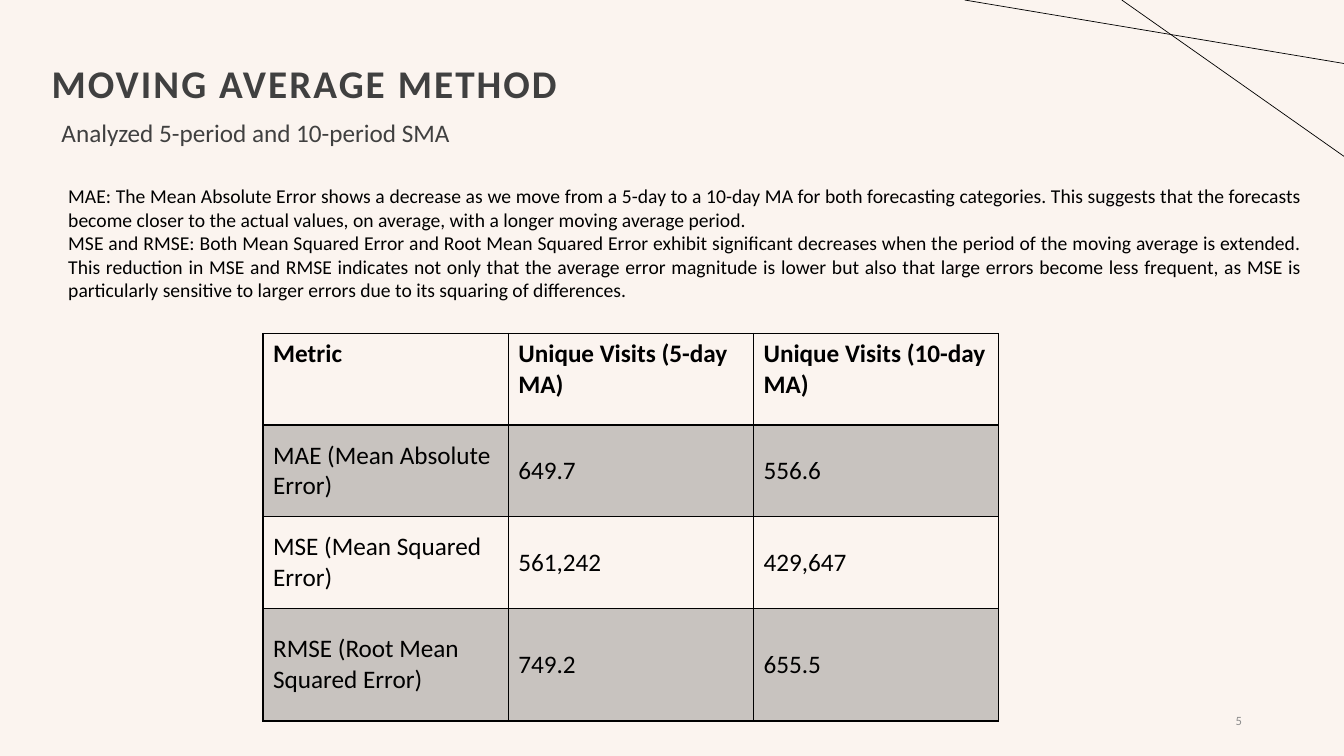
"""Build the moving average method slide."""
from dataclasses import dataclass

from lxml import etree
from pptx import Presentation
from pptx import util as u
from pptx.dml.color import RGBColor
from pptx.enum import shapes, text
from pptx.oxml.ns import qn

INK = {"page": "FBF4EF", "dark": "404040", "grey": "8C8C8C", "black": "000000"}
FONT = "Calibri"
LEFT, RIGHT, FULL = text.PP_ALIGN.LEFT, text.PP_ALIGN.RIGHT, text.PP_ALIGN.JUSTIFY
TOP, MIDDLE = text.MSO_ANCHOR.TOP, text.MSO_ANCHOR.MIDDLE


@dataclass
class Label:
    box: tuple[float, float, float, float]
    lines: list[str]
    size: float
    ink: str
    bold: bool = False
    align: int = LEFT
    anchor: int = TOP
    space: float = 1.0
    inset: float = 0.25
    track: int = 0


@dataclass
class Line:
    start: tuple[float, float]
    end: tuple[float, float]


LABELS = [
    Label((1.3, 0.33, 29.21, 3.68), ["MOVING AVERAGE METHOD"], 28, "dark",
          bold=True, anchor=MIDDLE, space=0.9, inset=0, track=150),
    Label((1.3, 2.92, 19.46, 1.37), ["Analyzed 5-period and 10-period SMA"],
          18, "dark", space=0.9),
    Label((23.93, 17.65, 7.62, 1.02), ["5"], 9, "grey", align=RIGHT, anchor=MIDDLE),
    Label((1.47, 4.51, 31.6, 3.25), [
        "MAE: The Mean Absolute Error shows a decrease as we move from a 5-day to a "
        "10-day MA for both forecasting categories. This suggests that the forecasts "
        "become closer to the actual values, on average, with a longer moving average "
        "period.",
        "MSE and RMSE: Both Mean Squared Error and Root Mean Squared Error exhibit "
        "significant decreases when the period of the moving average is extended. This "
        "reduction in MSE and RMSE indicates not only that the average error magnitude "
        "is lower but also that large errors become less frequent, as MSE is "
        "particularly sensitive to larger errors due to its squaring of differences.",
    ], 14, "black", align=FULL),
]
LINES = [Line((28.27, 0), (33.87, 3.94)), Line((24.31, 0), (33.87, 1.6))]
ROWS = [
    ("Metric", "Unique Visits (5-day MA)", "Unique Visits (10-day MA)"),
    ("MAE (Mean Absolute Error)", "649.7", "556.6"),
    ("MSE (Mean Squared Error)", "561,242", "429,647"),
    ("RMSE (Root Mean Squared Error)", "749.2", "655.5"),
]
TALL = [2.31, 2.31, 2.31, 2.84]
WIDE = 6.18


def paint(run, size: float, ink: str, bold: bool) -> None:
    """Set the font of a run."""
    run.font.name = FONT
    run.font.size = u.Pt(size)
    run.font.bold = bold
    run.font.color.rgb = RGBColor.from_string(INK[ink])


def write(slide, label: Label) -> None:
    """Add one text box."""
    frame = slide.shapes.add_textbox(*map(u.Cm, label.box)).text_frame
    frame.word_wrap = True
    frame.vertical_anchor = label.anchor
    frame.margin_left = u.Cm(label.inset)
    frame.text = "\n".join(label.lines)
    for para in frame.paragraphs:
        para.alignment = label.align
        para.line_spacing = label.space
        for run in para.runs:
            paint(run, label.size, label.ink, label.bold)
            if label.track:
                run.font._element.set("spc", str(label.track))


def rule(slide, line: Line) -> None:
    """Add one thin straight line."""
    link = slide.shapes.add_connector(
        shapes.MSO_CONNECTOR.STRAIGHT, *map(u.Cm, line.start + line.end))
    link.line.width = u.Pt(0.5)
    link.line.color.rgb = RGBColor.from_string(INK["black"])
    etree.SubElement(link._element.spPr, qn("a:effectLst"))


def tint(parent, alpha: int) -> None:
    """Add a black fill of the given opacity in percent."""
    fill = etree.SubElement(parent, qn("a:solidFill"))
    tone = etree.SubElement(fill, qn("a:srgbClr"), val=INK["black"])
    if alpha < 100:
        etree.SubElement(tone, qn("a:alpha"), val=str(alpha * 1000))


def frame_cell(cell, head: bool, dark: bool) -> None:
    """Set the borders and the fill of a cell."""
    props = cell._tc.get_or_add_tcPr()
    for side in "LRTB":
        wide = u.Pt(2 if head and side == "B" else 1)
        edge = etree.SubElement(props, qn("a:ln" + side), w=str(wide))
        tint(edge, 100)
    if dark:
        tint(props, 20)
    else:
        cell.fill.background()


def grid(slide) -> None:
    """Add the table of error metrics."""
    cols = len(ROWS[0])
    table = slide.shapes.add_table(
        len(ROWS), cols, u.Cm(6.63), u.Cm(8.4),
        u.Cm(WIDE * cols), u.Cm(sum(TALL))).table
    table.first_row = table.horz_banding = False
    for col in table.columns:
        col.width = u.Cm(WIDE)
    for r, (row, tall) in enumerate(zip(ROWS, TALL)):
        table.rows[r].height = u.Cm(tall)
        for c, word in enumerate(row):
            cell = table.cell(r, c)
            cell.text_frame.text = word
            cell.vertical_anchor = MIDDLE if r else TOP
            paint(cell.text_frame.paragraphs[0].runs[0], 18, "black", r == 0)
            frame_cell(cell, r == 0, r % 2 == 1)


def main() -> None:
    """Draw the slide and save it."""
    deck = Presentation()
    deck.slide_width, deck.slide_height = u.Cm(33.87), u.Cm(19.05)
    slide = deck.slides.add_slide(deck.slide_layouts[6])
    back = slide.background.fill
    back.solid()
    back.fore_color.rgb = RGBColor.from_string(INK["page"])
    for line in LINES:
        rule(slide, line)
    for label in LABELS:
        write(slide, label)
    grid(slide)
    deck.save("out.pptx")


if __name__ == "__main__":
    main()
